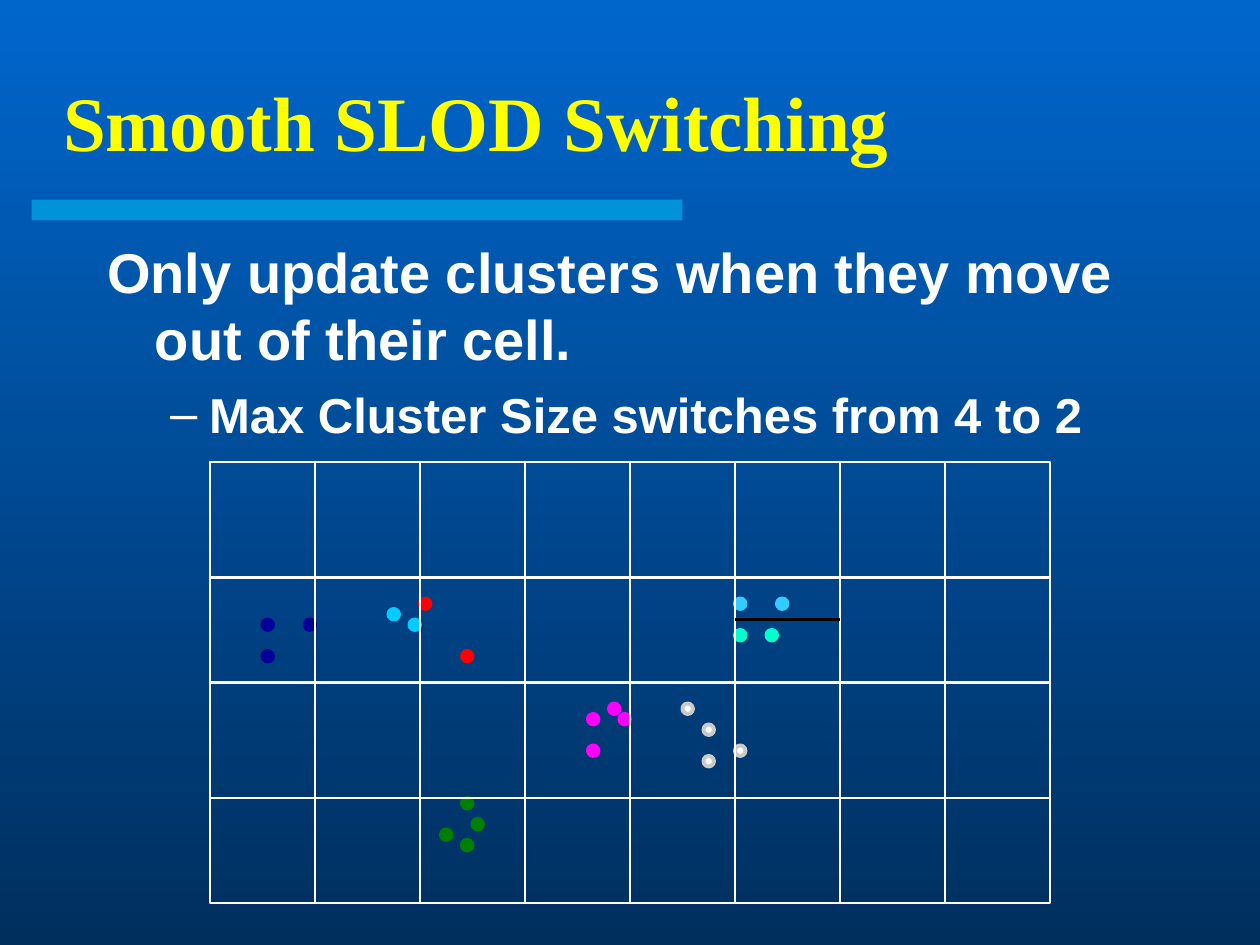
import pptx
import pptx.dml.color
import pptx.enum.shapes
import pptx.enum.text
import pptx.oxml
import pptx.oxml.ns
import pptx.util
from dataclasses import dataclass
from typing import Optional

# The slide is laid out on a grid of 120 columns by 90 rows
SLIDE_WIDTH = pptx.util.Inches(10)
SLIDE_HEIGHT = pptx.util.Inches(7.5)
COLUMNS, ROWS = 120, 90


@dataclass(frozen=True)
class Theme:
    sky: str = "0066CC"
    deep: str = "002F5E"
    accent: str = "00CCFF"
    title: str = "FFFF00"
    text: str = "FFFFFF"
    grid: str = "FFFFFF"
    split: str = "000000"
    title_font: str = "Times New Roman"
    body_font: str = "Arial"
    title_size: float = 44
    body_size: float = 32
    sub_size: float = 28
    thin: float = 1.5
    thick: float = 2.25


@dataclass(frozen=True)
class Cluster:
    fill: str
    cells: tuple
    outline: Optional[str] = None


THEME = Theme()
CLUSTERS = (
    Cluster("FF00FF", ((58, 67), (56, 68), (56, 71), (59, 68))),
    Cluster("000099", ((29, 59), (25, 59), (25, 62))),
    Cluster("00CCFF", ((37, 58), (39, 59))),
    Cluster("FF0000", ((40, 57), (44, 62))),
    Cluster("33CCFF", ((74, 57), (70, 57))),
    Cluster("00FFCC", ((73, 60), (70, 60))),
    Cluster("008000", ((42, 79), (44, 76), (45, 78), (44, 80))),
    Cluster("FFFFFF", ((67, 69), (65, 67), (70, 71), (67, 72)), "CBCBCB"),
)
PANEL_LEFTS = (20, 60)
PANEL_TOP, PANEL_WIDTH, PANEL_HEIGHT = 44, 40, 42
CELL_WIDTH = PANEL_WIDTH / 4


def x(column: float) -> int:
    return round(SLIDE_WIDTH * column / COLUMNS)


def y(row: float) -> int:
    return round(SLIDE_HEIGHT * row / ROWS)


def rgb(code: str):
    return pptx.dml.color.RGBColor.from_string(code)


def place(shape, left: float, top: float, width: float, height: float) -> None:
    shape.left, shape.top = x(left), y(top)
    shape.width, shape.height = x(width), y(height)


def add_box(slide, kind, left: float, top: float, width: float, height: float,
            fill: Optional[str] = None, outline: Optional[str] = None,
            weight: float = 0):
    box = slide.shapes.add_shape(kind, x(left), y(top), x(width), y(height))
    box.shadow.inherit = False
    if fill:
        box.fill.solid()
        box.fill.fore_color.rgb = rgb(fill)
    else:
        box.fill.background()
    if outline:
        box.line.color.rgb = rgb(outline)
        box.line.width = pptx.util.Pt(weight)
    else:
        box.line.fill.background()
    return box


def add_line(slide, start: tuple, end: tuple, color: str, weight: float):
    line = slide.shapes.add_connector(
        pptx.enum.shapes.MSO_CONNECTOR.STRAIGHT,
        x(start[0]), y(start[1]), x(end[0]), y(end[1]))
    line.line.color.rgb = rgb(color)
    line.line.width = pptx.util.Pt(weight)
    pptx.oxml.ns.qn("a:effectLst")
    line._element.spPr.append(
        pptx.oxml.parse_xml(f'<a:effectLst {pptx.oxml.ns.nsdecls("a")}/>'))
    return line


def write(paragraph, text: str, *, font: str, size: float, color: str,
          level: int = 0, margin: float = 0, hanging: float = 0,
          before: float = 0, bullet: Optional[str] = None) -> None:
    paragraph.text = text
    paragraph.level = level
    paragraph.alignment = pptx.enum.text.PP_ALIGN.LEFT
    paragraph.space_before = pptx.util.Pt(before)
    properties = paragraph._p.get_or_add_pPr()
    properties.set("marL", str(pptx.util.Inches(margin)))
    properties.set("indent", str(-pptx.util.Inches(hanging)))
    names = pptx.oxml.ns.nsdecls("a")
    marks = ([f'<a:buClr {names}><a:srgbClr val="{color}"/></a:buClr>',
              f'<a:buChar {names} char="{bullet}"/>']
             if bullet else [f"<a:buNone {names}/>"])
    for mark in marks:
        properties.append(pptx.oxml.parse_xml(mark))
    run_font = paragraph.runs[0].font
    run_font.name, run_font.size = font, pptx.util.Pt(size)
    run_font.bold = True
    run_font.color.rgb = rgb(color)


def paint_background(slide) -> None:
    fill = slide.background.fill
    fill.gradient()
    fill.gradient_angle = 270
    for stop, color, position in zip(
            fill.gradient_stops, (THEME.sky, THEME.deep), (0, 1)):
        stop.color.rgb = rgb(color)
        stop.position = position


def add_accent_bar(slide) -> None:
    bar = add_box(slide, pptx.enum.shapes.MSO_SHAPE.RECTANGLE,
                  3, 19, 62, 2, fill=THEME.accent)
    color = bar._element.spPr.find(".//" + pptx.oxml.ns.qn("a:srgbClr"))
    color.append(pptx.oxml.parse_xml(
        f'<a:alpha {pptx.oxml.ns.nsdecls("a")} val="50000"/>'))


def fill_placeholders(slide) -> None:
    title, body = slide.shapes.title, slide.placeholders[1]
    place(title, 4.8, 4, 106.2, 15)
    place(body, 9, 22, 102, 54)
    for holder in (title, body):
        holder.text_frame.auto_size = pptx.enum.text.MSO_AUTO_SIZE.NONE
    title.text_frame.vertical_anchor = pptx.enum.text.MSO_ANCHOR.MIDDLE
    write(title.text_frame.paragraphs[0], "Smooth SLOD Switching",
          font=THEME.title_font, size=THEME.title_size, color=THEME.title)
    write(body.text_frame.paragraphs[0],
          "Only update clusters when they move out of their cell.",
          font=THEME.body_font, size=THEME.body_size, color=THEME.text,
          margin=0.38, hanging=0.38)
    write(body.text_frame.add_paragraph(),
          "Max Cluster Size switches from 4 to 2",
          font=THEME.body_font, size=THEME.sub_size, color=THEME.text,
          level=1, margin=0.81, hanging=0.31, before=7, bullet="–")


def add_cluster(slide, cluster: Cluster) -> None:
    for column, row in cluster.cells:
        add_box(slide, pptx.enum.shapes.MSO_SHAPE.OVAL, column, row, 1, 1,
                fill=cluster.fill, outline=cluster.outline or cluster.fill,
                weight=THEME.thick)


def add_panel(slide, left: float) -> None:
    right, bottom = left + PANEL_WIDTH, PANEL_TOP + PANEL_HEIGHT
    panel = add_box(slide, pptx.enum.shapes.MSO_SHAPE.RECTANGLE,
                    left, PANEL_TOP, PANEL_WIDTH, PANEL_HEIGHT,
                    outline=THEME.grid, weight=THEME.thin)
    columns = [add_line(slide, (left + i * CELL_WIDTH, PANEL_TOP),
                        (left + i * CELL_WIDTH, bottom),
                        THEME.grid, THEME.thin) for i in (1, 2, 3)]
    rows = [add_line(slide, (left, row), (right, row), THEME.grid, THEME.thin)
            for row in (55, 65, 76)]
    # The middle lines meet the panel at the middle of its sides
    for middle, first, last in ((columns[1], 0, 2), (rows[1], 1, 3)):
        middle.begin_connect(panel, first)
        middle.end_connect(panel, last)


def main() -> None:
    deck = pptx.Presentation()
    deck.slide_width, deck.slide_height = SLIDE_WIDTH, SLIDE_HEIGHT
    slide = deck.slides.add_slide(deck.slide_layouts[1])
    paint_background(slide)
    add_accent_bar(slide)
    fill_placeholders(slide)
    # Clusters lie beneath the grid
    for cluster in CLUSTERS:
        add_cluster(slide, cluster)
    for left in PANEL_LEFTS:
        add_panel(slide, left)
    # Split of the cell that holds two clusters
    add_line(slide, (80, 59), (70, 59), THEME.split, THEME.thick)
    deck.save("out.pptx")


if __name__ == "__main__":
    main()
